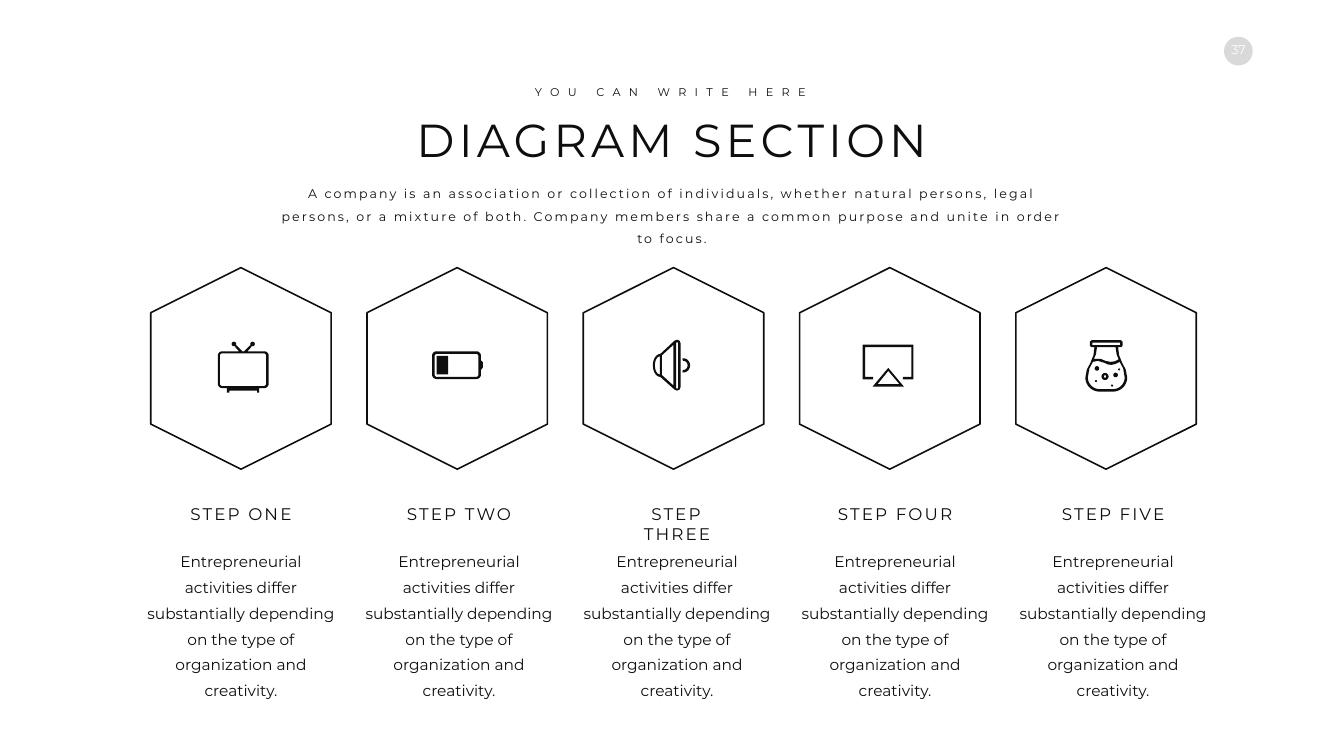
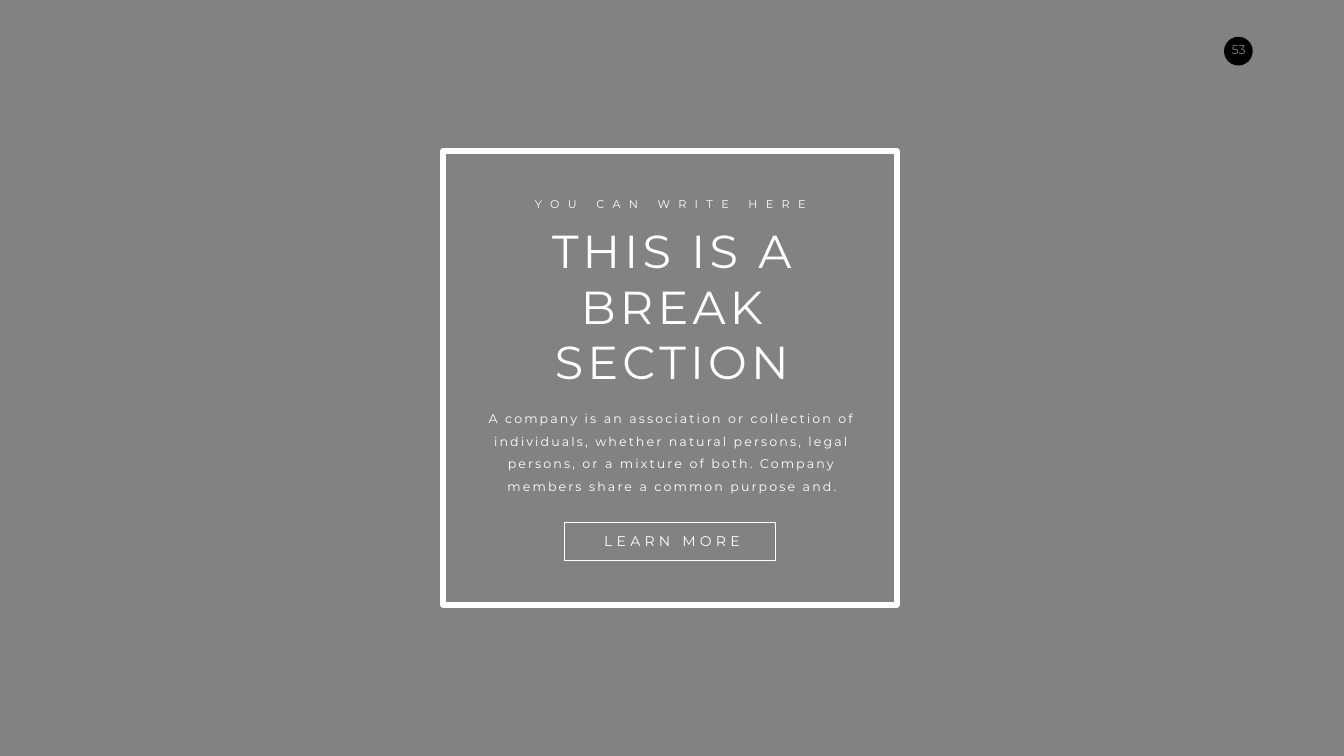
import math

import pptx
import pptx.dml.color
import pptx.enum.shapes
import pptx.enum.text
import pptx.oxml.ns
import pptx.util
from lxml import etree

SHAPES = pptx.enum.shapes.MSO_SHAPE
ALIGN = pptx.enum.text.PP_ALIGN
AUTO_SIZE = pptx.enum.text.MSO_AUTO_SIZE
qualified = pptx.oxml.ns.qn

WIDTH, HEIGHT = 26.66, 15
CENTER = WIDTH / 2
FONT = "Montserrat"
COLORS = {"ink": "0E0E0E", "white": "FFFFFF", "black": "000000"}
EYEBROW = "YOU CAN WRITE HERE"

DIAGRAM_TITLE = "DIAGRAM SECTION"
DIAGRAM_INTRO = (
    "A company is an association or collection of individuals, whether natural persons, "
    "legal persons, or a mixture of both. Company members share a common purpose and "
    "unite in order to focus."
)
STEP_BODY = (
    "Entrepreneurial activities differ substantially depending on the type of "
    "organization and creativity."
)
BREAK_TITLE = "THIS IS A\nBREAK\nSECTION"
BREAK_INTRO = (
    "A company is an association or collection of individuals, whether natural persons, "
    "legal persons, or a mixture of both. Company members share a common purpose and."
)
BUTTON_LABEL = "LEARN MORE"

# Step columns: hexagons and captions have slightly different pitches
FIRST_COLUMN = 4.78
HEXAGON_PITCH, CAPTION_PITCH = 4.29, 4.325
HEXAGON_LENGTH, HEXAGON_BREADTH = 4, 3.58


def arc(center_x, center_y, radius_x, radius_y, start, end, steps=10):
    """Points on an ellipse, angles in degrees, clockwise from the right."""
    angles = [math.radians(start + (end - start) * i / steps) for i in range(steps + 1)]
    return [(center_x + radius_x * math.cos(a), center_y + radius_y * math.sin(a))
            for a in angles]


def rounded(left, top, width, height, radius):
    right, bottom = left + width - radius, top + height - radius
    corners = [(right, bottom), (left + radius, bottom),
               (left + radius, top + radius), (right, top + radius)]
    return [point for i, (x, y) in enumerate(corners)
            for point in arc(x, y, radius, radius, 90 * i, 90 * i + 90)]


def circle(center_x, center_y, radius):
    return arc(center_x, center_y, radius, radius, 0, 360, 24)


def box(left, top, width, height):
    return [(left, top), (left + width, top),
            (left + width, top + height), (left, top + height)]


def mirrored(points, width):
    return [(width - x, y) for x, y in reversed(points)]


# Icon contours, in hundredths of an inch; inner contours are holes
ANTENNA = [(37, 7), (49, 19), (42, 19), (34, 10)]
FLASK_SIDE = [(0, 74), (3, 58), (10, 45), (16, 30), (18, 14)]
TELEVISION = [
    rounded(0, 19, 101, 73, 9), rounded(4, 23, 92, 65, 5),
    circle(32, 4.5, 4.5), circle(69, 4.5, 4.5), ANTENNA, mirrored(ANTENNA, 101),
    [(18, 92), (82, 92), (82, 101), (78, 101), (78, 97), (23, 97), (23, 101), (18, 101)],
]
BATTERY = [
    rounded(0, 0, 97, 55, 9), rounded(5, 5, 87, 46, 5), box(9, 9, 23, 37),
    [(97, 18), (101, 22), (101, 32), (97, 37)],
]
SPEAKER = [
    arc(15, 51, 15, 23, 90, 270)
    + [(43, 2), (48, 0), (53, 2), (55, 7), (55, 94), (53, 99), (48, 101), (43, 99)],
    [(18, 31), (41, 10), (41, 91), (18, 70)],
    arc(14, 51, 10, 18, 90, 270),
    rounded(46, 5, 4, 92, 2),
    arc(61, 51, 13, 14, -100, 100) + arc(61, 51, 8, 9, 100, -100),
]
SCREEN = [
    [(21, 69), (0, 69), (0, 0), (101, 0), (101, 69), (80, 69), (80, 64),
     (97, 64), (97, 5), (5, 5), (5, 64), (21, 64)],
    [(20, 83), (51, 46), (82, 83)],
    [(30, 78), (51, 52), (73, 78)],
]
FLASK = [
    rounded(9, 0, 65, 14, 5), box(14, 5, 55, 5),
    FLASK_SIDE + mirrored(FLASK_SIDE, 83)
    + arc(55, 74, 28, 28, 0, 90) + arc(28, 74, 28, 28, 90, 180),
    [(23, 14), (60, 14), (62, 28), (66, 38), (58, 42), (50, 43), (40, 41),
     (30, 37), (17, 37), (21, 28)],
    [(8, 56), (15, 43), (25, 41), (38, 45), (44, 48), (52, 49), (60, 47), (68, 43), (75, 56)]
    + arc(55, 74, 23, 23, 0, 90) + arc(28, 74, 23, 23, 90, 180),
    circle(39, 72, 7), circle(39, 72, 2.5), circle(60, 69, 4.5), circle(23, 56, 4.5),
    circle(53, 90, 2), circle(67, 58, 2), circle(21, 81, 2),
]

# Step name, icon contours, left and top of the icon
STEPS = [
    ("STEP ONE", TELEVISION, 4.32, 6.78),
    ("STEP TWO", BATTERY, 8.57, 6.97),
    ("STEP THREE", SPEAKER, 12.95, 6.74),
    ("STEP FOUR", SCREEN, 17.11, 6.84),
    ("STEP FIVE", FLASK, 21.53, 6.75),
]


def inches(*values):
    return [pptx.util.Inches(value) for value in values]


def rgb(name):
    return pptx.dml.color.RGBColor.from_string(COLORS[name])


def style_shape(shape, fill=None, line=None, line_width=1, opacity=None):
    shape.shadow.inherit = False
    if fill:
        shape.fill.solid()
        shape.fill.fore_color.rgb = rgb(fill)
    else:
        shape.fill.background()
    if line:
        shape.line.color.rgb = rgb(line)
        shape.line.width = pptx.util.Pt(line_width)
    else:
        shape.line.fill.background()
    if opacity is not None:
        color = next(shape._element.spPr.iter(qualified("a:srgbClr")))
        etree.SubElement(color, qualified("a:alpha")).set("val", str(opacity * 1000))


def add_preset(slide, kind, place, **style):
    shape = slide.shapes.add_shape(kind, *inches(*place))
    style_shape(shape, **style)
    return shape


def add_text(slide, text, center, top, width, height, size, color,
             spacing=0, line_spacing=None, wrap=True):
    """Centred text box; spacing is the tracking in points."""
    shape = slide.shapes.add_textbox(*inches(center - width / 2, top, width, height))
    frame = shape.text_frame
    frame.word_wrap = wrap
    frame.auto_size = AUTO_SIZE.SHAPE_TO_FIT_TEXT
    frame.text = text
    for paragraph in frame.paragraphs:
        paragraph.alignment = ALIGN.CENTER
        if line_spacing:
            paragraph.line_spacing = line_spacing
        paragraph.font.name = FONT
        paragraph.font.size = pptx.util.Pt(size)
        paragraph.font.color.rgb = rgb(color)
        if spacing:
            properties = paragraph._p.pPr.find(qualified("a:defRPr"))
            properties.set("spc", str(spacing * 100))


def add_icon(slide, contours, left, top):
    """One filled freeform; points are scaled to thousandths of an inch."""
    fine = [[(10 * x, 10 * y) for x, y in contour] for contour in contours]
    builder = slide.shapes.build_freeform(*fine[0][0], scale=914.4)
    for index, contour in enumerate(fine):
        if index:
            builder.move_to(*contour[0])
        builder.add_line_segments(contour[1:], close=True)
    style_shape(builder.convert_to_shape(*inches(left, top)), fill="ink")


def add_base_slide(presentation, number, veil, opacity):
    """Blank slide with the page badge under a translucent veil."""
    slide = presentation.slides.add_slide(presentation.slide_layouts[6])
    add_preset(slide, SHAPES.OVAL, (24.28, 0.73, 0.57, 0.57), fill="black")
    add_text(slide, str(number), 24.57, 0.78, 0.86, 0.4, 18, "white", wrap=False)
    add_preset(slide, SHAPES.RECTANGLE, (0, 0, WIDTH, HEIGHT), fill=veil, opacity=opacity)
    return slide


def add_heading(slide, title, intro, color, eyebrow_top, title_box, intro_box):
    """Eyebrow, title and introduction; boxes are top, width, height."""
    add_text(slide, title, CENTER, *title_box, 66, color, 6, wrap=False)
    add_text(slide, EYEBROW, CENTER - 0.03, eyebrow_top, 6.23, 0.37, 16, color, 12)
    add_text(slide, intro, CENTER, *intro_box, 18, color, 3, 1.5)


def build_diagram_slide(presentation):
    slide = add_base_slide(presentation, 37, "white", 85)
    add_heading(slide, DIAGRAM_TITLE, DIAGRAM_INTRO, "ink", 1.65,
                (2.15, 10.41, 1.21), (3.49, 16.03, 0.95))
    for index, (name, contours, icon_left, icon_top) in enumerate(STEPS):
        hexagon_left = FIRST_COLUMN - HEXAGON_LENGTH / 2 + index * HEXAGON_PITCH
        hexagon = add_preset(slide, SHAPES.HEXAGON,
                             (hexagon_left, 5.52, HEXAGON_LENGTH, HEXAGON_BREADTH),
                             line="ink", line_width=2.25)
        hexagon.rotation = 270
        add_icon(slide, contours, icon_left, icon_top)
        center = FIRST_COLUMN + index * CAPTION_PITCH
        add_text(slide, name, center, 9.95, 2.5, 0.5, 24, "ink", 3, wrap=False)
        add_text(slide, STEP_BODY, center, 10.77, 4, 2.7, 22, "ink",
                 line_spacing=pptx.util.Pt(36.8))


def build_break_slide(presentation):
    slide = add_base_slide(presentation, 53, "black", 49)
    add_preset(slide, SHAPES.RECTANGLE, (8.79, 3, 9, 9), line="white", line_width=8)
    add_heading(slide, BREAK_TITLE, BREAK_INTRO, "white", 3.87,
                (4.37, 5.1, 3.43), (7.95, 7.59, 1.92))
    add_preset(slide, SHAPES.RECTANGLE, (11.2, 10.36, 4.19, 0.75), line="white")
    add_text(slide, BUTTON_LABEL, CENTER, 10.51, 3.37, 0.44, 20, "white", 6)


def main():
    presentation = pptx.Presentation()
    presentation.slide_width, presentation.slide_height = inches(WIDTH, HEIGHT)
    build_diagram_slide(presentation)
    build_break_slide(presentation)
    presentation.save("out.pptx")


if __name__ == "__main__":
    main()
